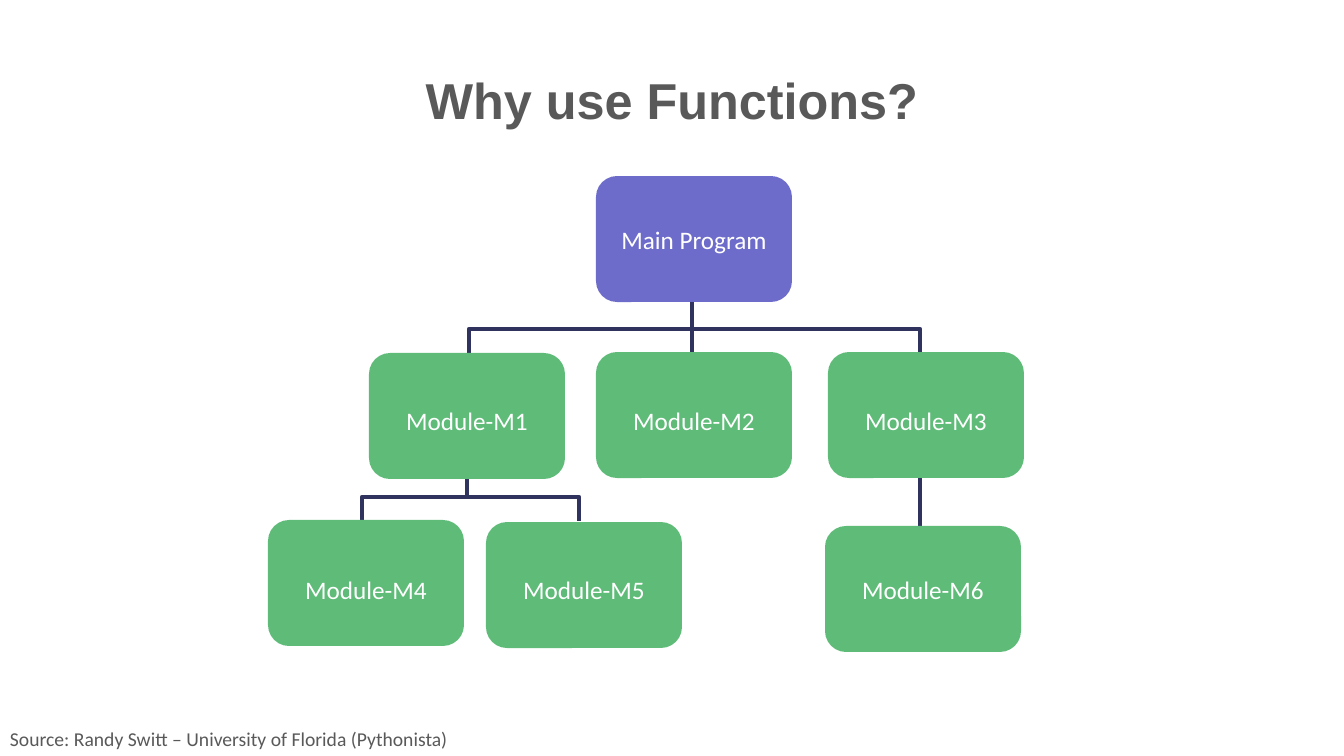
from pptx import Presentation
from pptx.dml.color import RGBColor
from pptx.enum.shapes import MSO_CONNECTOR, MSO_SHAPE
from pptx.enum.text import MSO_ANCHOR, PP_ALIGN
from pptx.oxml import parse_xml
from pptx.oxml.ns import nsdecls
from pptx.util import Pt

GREY = RGBColor(0x59, 0x59, 0x59)
NAVY = RGBColor(0x30, 0x33, 0x5D)
GREEN = RGBColor(0x5E, 0xBB, 0x78)
PURPLE = RGBColor(0x6D, 0x6C, 0xCA)
WHITE = RGBColor(0xFF, 0xFF, 0xFF)

TITLE = "Why use Functions?"
SOURCE = "Source: Randy Switt – University of Florida (Pythonista)"

SLIDE_W, SLIDE_H = 1344, 756
BOX_W, BOX_H = 196, 126
# Middle of the label line, then (label, left, top, fill) of each box
LEVELS = [
    (239, [("Main Program", 596, 176, PURPLE)]),
    (420, [("Module-M1", 369, 353, GREEN),
           ("Module-M2", 596, 352, GREEN),
           ("Module-M3", 828, 352, GREEN)]),
    (589, [("Module-M4", 268, 520, GREEN),
           ("Module-M5", 486, 522, GREEN),
           ("Module-M6", 825, 526, GREEN)]),
]
STEMS = [(467, 468, 497), (920, 468, 529), (692, 302, 364)]  # x, top, bottom
BRACKETS = [(469, 920, 329), (362, 579, 497)]  # left, right, top
BRACKET_H = 24


def px(n):
    return round(n * 914400 / 100.8)


def rect(*lengths):
    return [px(n) for n in lengths]


def write(tf, text, size, font, color, align, bold=False):
    tf.word_wrap = True
    p = tf.paragraphs[0]
    p.alignment = align
    r = p.add_run()
    r.text = text
    r.font.size = Pt(size)
    r.font.name = font
    r.font.bold = bold
    r.font.color.rgb = color


def add_text(s, top, height, *style, **options):
    tb = s.shapes.add_textbox(*rect(0, top, SLIDE_W, height))
    write(tb.text_frame, *style, **options)


def style_line(shape):
    shape.line.color.rgb = NAVY
    shape.line.width = Pt(3)


def add_stem(s, x, top, bottom):
    c = s.shapes.add_connector(MSO_CONNECTOR.STRAIGHT, *rect(x, top, x, bottom))
    style_line(c)
    c._element.spPr.append(parse_xml(f"<a:effectLst {nsdecls('a')}/>"))


def add_bracket(s, left, right, top):
    """Draw a square left bracket turned so that it opens downwards."""
    span = right - left
    shift = (span - BRACKET_H) / 2
    sp = s.shapes.add_shape(MSO_SHAPE.LEFT_BRACKET,
                            *rect(left + shift, top - shift, BRACKET_H, span))
    sp.rotation = 90
    sp.adjustments[0] = 0
    sp.shadow.inherit = False
    sp.fill.background()
    style_line(sp)


def add_box(s, label, left, top, fill, label_y):
    sp = s.shapes.add_shape(MSO_SHAPE.ROUNDED_RECTANGLE,
                            *rect(left, top, BOX_W, BOX_H))
    sp.shadow.inherit = False
    sp.fill.solid()
    sp.fill.fore_color.rgb = fill
    sp.line.fill.background()
    tf = sp.text_frame
    tf.vertical_anchor = MSO_ANCHOR.MIDDLE
    tf.margin_left = tf.margin_right = tf.margin_bottom = 0
    # A top inset moves centred text down by half its length
    tf.margin_top = px(max(0, 2 * (label_y - top) - BOX_H))
    write(tf, label, 18, "Calibri", WHITE, PP_ALIGN.CENTER)


def main():
    prs = Presentation()
    prs.slide_width, prs.slide_height = rect(SLIDE_W, SLIDE_H)
    s = prs.slides.add_slide(prs.slide_layouts[6])
    add_text(s, 64, 71, TITLE, 36, "Arial", GREY, PP_ALIGN.CENTER, bold=True)
    add_text(s, 722, 34, SOURCE, 14, "Calibri", GREY, PP_ALIGN.LEFT)
    for stem in STEMS:
        add_stem(s, *stem)
    for bracket in BRACKETS:
        add_bracket(s, *bracket)
    for label_y, boxes in LEVELS:
        for box in boxes:
            add_box(s, *box, label_y)
    prs.save("out.pptx")


if __name__ == "__main__":
    main()
